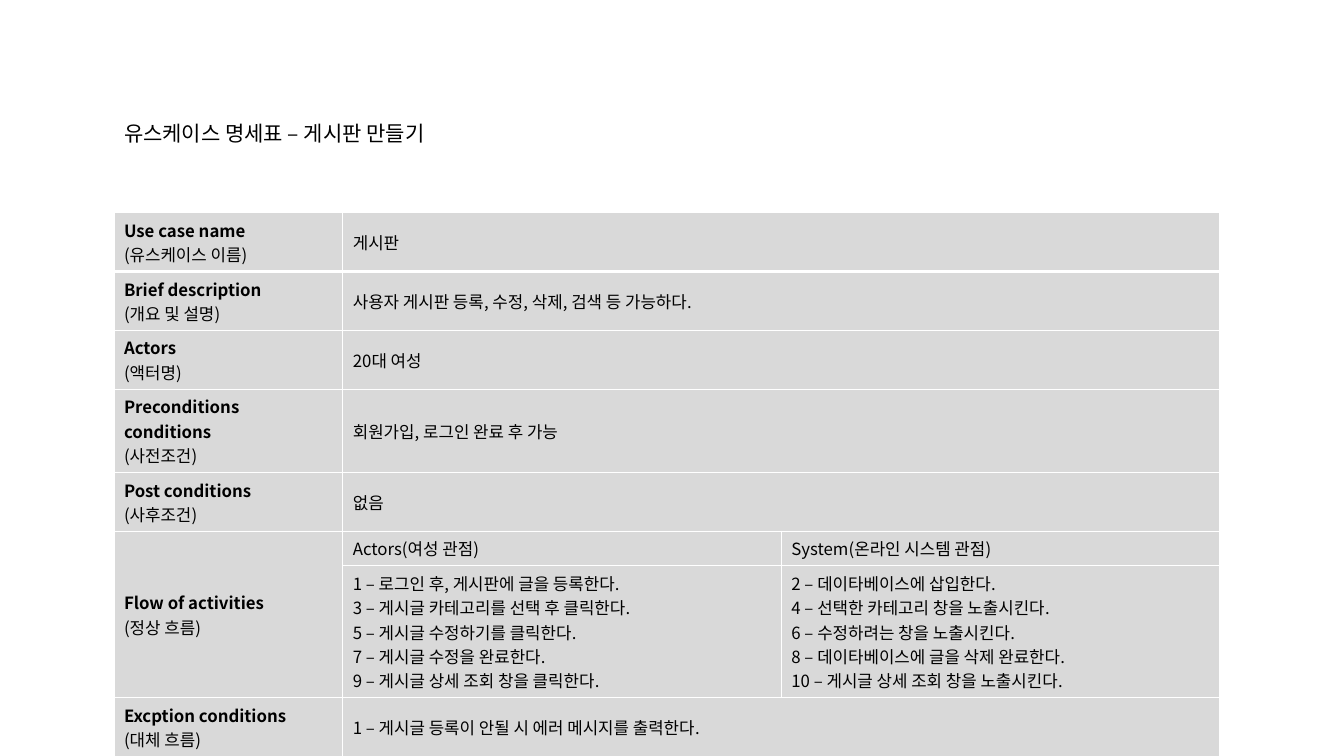
from dataclasses import dataclass

from lxml import etree
from pptx import Presentation
from pptx.dml.color import RGBColor
from pptx.enum.text import MSO_ANCHOR, PP_ALIGN
from pptx.oxml.ns import qn
from pptx.util import Inches, Pt

MIDDLE = MSO_ANCHOR.MIDDLE
LEFT = PP_ALIGN.LEFT
TITLE_ONLY = 5


@dataclass(frozen=True)
class Theme:
    font: str = "Noto Sans CJK KR"
    text: str = "000000"
    cell: str = "D9D9D9"
    border: str = "FFFFFF"
    title_size: float = 15
    cell_size: float = 12
    thin: float = 1
    thick: float = 3


THEME = Theme()

TITLE = "유스케이스 명세표 – 게시판 만들기"
COLUMN_WIDTHS = [2.27, 4.35, 4.35]
ROW_HEIGHTS = [0.41] * 5 + [0.25, 0.25, 0.41]
FLOW_ROW = 5

# Each row: English label lines, Korean label, then one or two content cells.
USE_CASE = [
    (["Use case name"], "(유스케이스 이름)", ["게시판"]),
    (["Brief description"], "(개요 및 설명)",
     ["사용자 게시판 등록, 수정, 삭제, 검색 등 가능하다."]),
    (["Actors"], "(액터명)", ["20대 여성"]),
    (["Preconditions", "conditions"], "(사전조건)", ["회원가입, 로그인 완료 후 가능"]),
    (["Post conditions"], "(사후조건)", ["없음"]),
    (["Flow of activities"], "(정상 흐름)",
     ["Actors(여성 관점)", "System(온라인 시스템 관점)"]),
    ([], "", [
        "1 – 로그인 후, 게시판에 글을 등록한다.\n"
        "3 – 게시글 카테고리를 선택 후 클릭한다.\n"
        "5 – 게시글 수정하기를 클릭한다.\n"
        "7 – 게시글 수정을 완료한다.\n"
        "9 – 게시글 상세 조회 창을 클릭한다.",
        "2 – 데이타베이스에 삽입한다.\n"
        "4 – 선택한 카테고리 창을 노출시킨다.\n"
        "6 – 수정하려는 창을 노출시킨다.\n"
        "8 – 데이타베이스에 글을 삭제 완료한다.\n"
        "10 – 게시글 상세 조회 창을 노출시킨다.",
    ]),
    (["Excption conditions"], "(대체 흐름)",
     ["1 – 게시글 등록이 안될 시 에러 메시지를 출력한다."]),
]


def write_text(frame, text, size=THEME.cell_size, color=THEME.text, bold_lines=0):
    """Write one paragraph per line; the first bold_lines of them are bold."""
    for index, line in enumerate(text.split("\n")):
        para = frame.paragraphs[0] if index == 0 else frame.add_paragraph()
        para.alignment = LEFT
        span = para.add_run()
        span.text = line
        span.font.name = THEME.font
        span.font.size = Pt(size)
        span.font.bold = index < bold_lines
        span.font.color.rgb = RGBColor.from_string(color)
        east_asian = etree.SubElement(span.font._element, qn("a:ea"))
        east_asian.set("typeface", THEME.font)


def set_borders(cell, bottom):
    properties = cell._tc.get_or_add_tcPr()
    widths = {"L": THEME.thin, "R": THEME.thin, "T": THEME.thin, "B": bottom}
    for side, width in widths.items():
        line = etree.SubElement(properties, qn(f"a:ln{side}"), w=str(Pt(width)))
        fill = etree.SubElement(line, qn("a:solidFill"))
        etree.SubElement(fill, qn("a:srgbClr"), val=THEME.border)


def style_cell(cell, bottom):
    set_borders(cell, bottom)
    cell.fill.solid()
    cell.fill.fore_color.rgb = RGBColor.from_string(THEME.cell)
    cell.vertical_anchor = MIDDLE


def add_title(page):
    title = page.shapes.title
    title.left, title.top = Inches(1.13), Inches(1.15)
    title.width, title.height = Inches(3.55), Inches(0.35)
    frame = title.text_frame
    frame.word_wrap = True
    frame.vertical_anchor = MIDDLE
    write_text(frame, TITLE, size=THEME.title_size)


def add_use_case_table(page):
    table = page.shapes.add_table(
        len(ROW_HEIGHTS), len(COLUMN_WIDTHS), Inches(1.13), Inches(2.11),
        Inches(sum(COLUMN_WIDTHS)), Inches(sum(ROW_HEIGHTS))).table
    table.first_row = table.horz_banding = False
    for column, width in zip(table.columns, COLUMN_WIDTHS):
        column.width = Inches(width)
    for row, height in zip(table.rows, ROW_HEIGHTS):
        row.height = Inches(height)

    for index, (english, korean, contents) in enumerate(USE_CASE):
        for column in range(len(COLUMN_WIDTHS)):
            style_cell(table.cell(index, column),
                       bottom=THEME.thick if index == 0 else THEME.thin)
        if english:
            write_text(table.cell(index, 0).text_frame,
                       "\n".join(english + [korean]), bold_lines=len(english))
        for column, content in enumerate(contents, start=1):
            write_text(table.cell(index, column).text_frame, content)
        if len(contents) == 1:
            table.cell(index, 1).merge(table.cell(index, 2))
    table.cell(FLOW_ROW, 0).merge(table.cell(FLOW_ROW + 1, 0))


def main():
    deck = Presentation()
    deck.slide_width, deck.slide_height = Inches(13.33), Inches(7.5)
    page = deck.slides.add_slide(deck.slide_layouts[TITLE_ONLY])
    add_use_case_table(page)
    add_title(page)
    deck.save("out.pptx")


if __name__ == "__main__":
    main()
